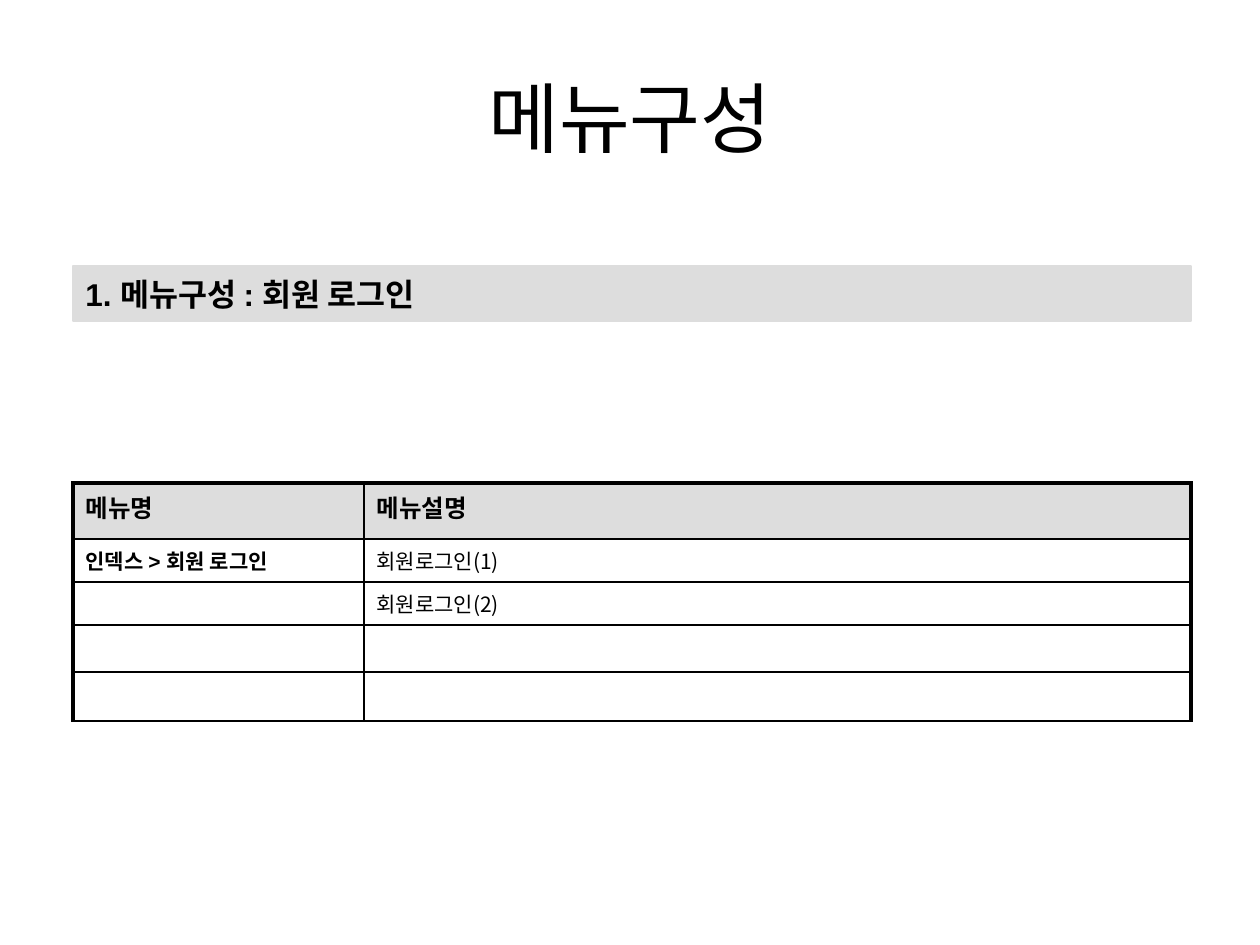
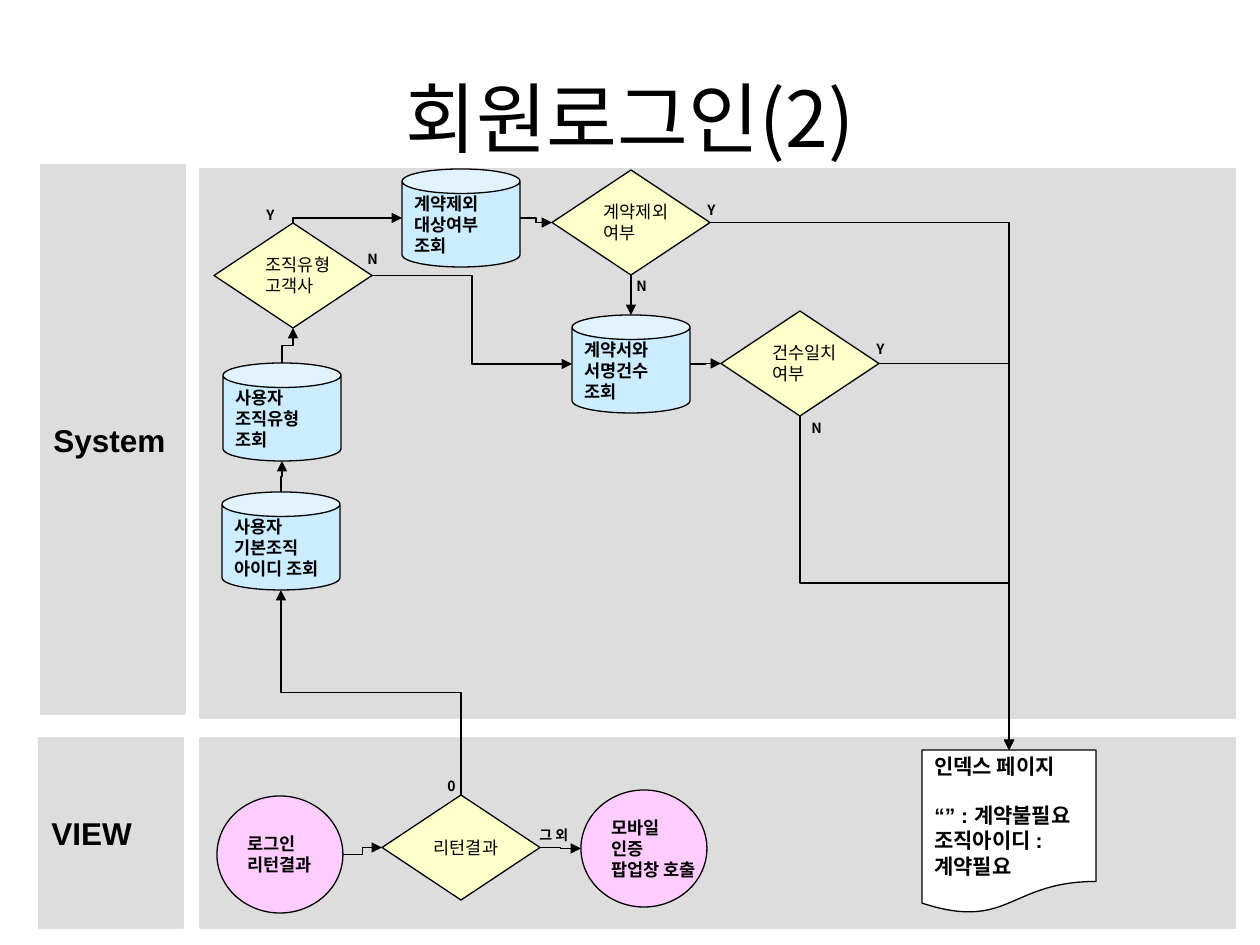
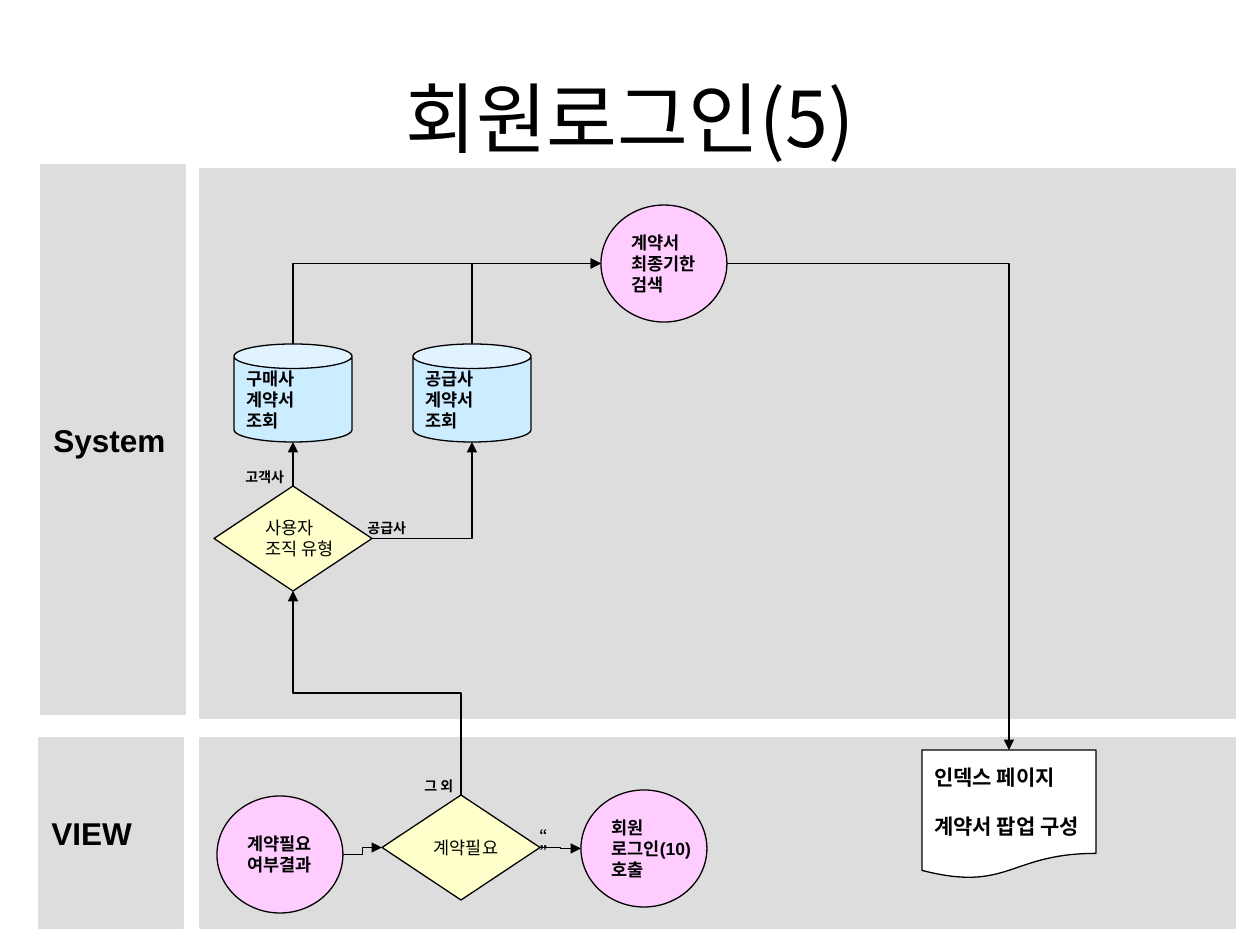
from collections import namedtuple
from lxml.etree import SubElement
from pptx import Presentation
from pptx.dml.color import RGBColor
from pptx.enum.shapes import MSO_CONNECTOR as LINK, MSO_SHAPE as FORM
from pptx.enum.text import MSO_ANCHOR as ANCHOR, MSO_AUTO_SIZE as AUTO, PP_ALIGN as ALIGN
from pptx.oxml.ns import qn
from pptx.util import Pt

Box = namedtuple("Box", "x y w h")
Kind = namedtuple("Kind", "form w h fill style")

# Shared look
PX = 914400 / 126
INK, GREY, WHITE = "000000", "DDDDDD", "FFFFFF"
NOTO = "Noto Sans CJK KR"
TITLE = {"name": NOTO, "size": Pt(44), "bold": False}
HEAD = {"name": "Arial", "size": Pt(18), "bold": True}
NODE = {"name": "Arial", "size": Pt(10), "bold": True}
ASK = {"name": NOTO, "size": Pt(10), "bold": False}
PAGE = {"name": "Arial", "size": Pt(12), "bold": True}
TAG = {"name": NOTO, "size": Pt(8), "bold": True}
TOP = {"name": "Arial", "size": Pt(14), "bold": True}
CELL = {"name": NOTO, "size": Pt(12), "bold": False}

KINDS = {
    "can": Kind(FORM.CAN, 118, 98, "CCECFF", NODE),
    "ask": Kind(FORM.DIAMOND, 158, 105, "FFFFCC", ASK),
    "oval": Kind(FORM.OVAL, 126, 117, "FFCCFF", NODE),
    "page": Kind(FORM.FLOWCHART_DOCUMENT, 174, 164, WHITE, PAGE),
    "note": Kind(FORM.FLOWCHART_DOCUMENT, 174, 129, WHITE, PAGE),
}

# Lanes: label box and body box
LANES = {
    "System": (Box(41, 165, 144, 549), Box(200, 169, 1035, 549)),
    "VIEW": (Box(39, 738, 144, 190), Box(200, 738, 1035, 190)),
}


def emu(px):
    return round(px * PX)


def place(box):
    return [emu(v) for v in box]


def color(code):
    return RGBColor.from_string(code)


def write(frame, text, style, align=ALIGN.LEFT, gap=0):
    """Put one paragraph per line; gap opens space after the first line."""
    for i, line in enumerate(text.split("\n")):
        para = frame.add_paragraph() if i else frame.paragraphs[0]
        para.alignment = align
        if gap and i == 1:
            para.space_before = Pt(gap)
        if not line:
            SubElement(para._p, qn("a:endParaRPr"), sz=str(int(style["size"].pt * 100)))
            continue
        run = para.add_run()
        run.text = line
        run.font.color.rgb = color(INK)
        for key, value in style.items():
            setattr(run.font, key, value)
        SubElement(run._r.rPr, qn("a:ea"), typeface=NOTO)


def shape(slide, form, box, fill, line, text="", style=HEAD, gap=0):
    item = slide.shapes.add_shape(form, *place(box))
    item.shadow.inherit = False
    item.fill.solid()
    item.fill.fore_color.rgb = color(fill)
    item.line.color.rgb = color(line)
    item.line.width = Pt(0.75)
    if text:
        item.text_frame.word_wrap = False
        item.text_frame.vertical_anchor = ANCHOR.MIDDLE
        write(item.text_frame, text, style, gap=gap)


def band(slide, box, text=""):
    shape(slide, FORM.RECTANGLE, box, GREY, GREY, text)


def title(slide, text):
    frame = slide.shapes.add_textbox(*place(Box(63, 38, 1134, 158))).text_frame
    frame.word_wrap = True
    frame.vertical_anchor = ANCHOR.MIDDLE
    write(frame, text, TITLE, ALIGN.CENTER)


def tag(slide, lane, x, y, w, text):
    box = Box(lane.x + x, lane.y + y, w, 30)
    frame = slide.shapes.add_textbox(*place(box)).text_frame
    frame.word_wrap = False
    frame.auto_size = AUTO.SHAPE_TO_FIT_TEXT
    write(frame, text, TAG)


def node(slide, lane, kind, x, y, text):
    """Draw a flow node inside its lane and return its box."""
    look = KINDS[kind]
    box = Box(lane.x + x, lane.y + y, look.w, look.h)
    gap = 14 if look.style is PAGE else 0
    shape(slide, look.form, box, look.fill, INK, text, look.style, gap)
    return box


def port(box, side):
    x = {"l": box.x, "r": box.x + box.w}.get(side, box.x + box.w / 2)
    y = {"t": box.y, "b": box.y + box.h}.get(side, box.y + box.h / 2)
    return x, y


def link(slide, start, out, end, into):
    """Arrow between two sides; the sides decide how it bends."""
    (x1, y1), (x2, y2) = port(start, out), port(end, into)
    if x1 == x2 or y1 == y2:
        line = slide.shapes.add_connector(LINK.STRAIGHT, *place((x1, y1, x2, y2)))
    else:
        dx, dy = x2 - x1, y2 - y1
        w, h, turn = abs(dx), abs(dy), 0
        flip = dx < 0, dy < 0
        if out in "tb":
            w, h, turn = h, w, 270
            flip = dy > 0, dx < 0
            if not any(flip):
                turn, flip = 90, (True, True)
        x, y = (x1 + x2 - w) / 2, (y1 + y2 - h) / 2
        line = slide.shapes.add_connector(LINK.ELBOW, *place((x, y, x + w, y + h)))
        frame = line._element.spPr.find(qn("a:xfrm"))
        frame.set("rot", str(turn * 60000))
        for name, on in zip(("flipH", "flipV"), flip):
            frame.set(name, str(int(on)))
        if (out in "tb") != (into in "tb"):
            line._element.spPr.find(qn("a:prstGeom")).set("prst", "bentConnector2")
    line.line.color.rgb = color(INK)
    line.line.width = Pt(0.75)
    SubElement(line.line._get_or_add_ln(), qn("a:tailEnd"), type="triangle")
    SubElement(line._element.spPr, qn("a:effectLst"))


def edge(cell, side, width):
    line = SubElement(cell._tc.get_or_add_tcPr(), qn("a:ln" + side), w=str(Pt(width)))
    SubElement(SubElement(line, qn("a:solidFill")), qn("a:srgbClr"), val=INK)


def grid(slide, box, cols, rows, data):
    table = slide.shapes.add_table(len(rows), len(cols), *place(box)).table
    table.first_row = table.horz_banding = False
    for col, w in zip(table.columns, cols):
        col.width = emu(w)
    for r, (row, h) in enumerate(zip(table.rows, rows)):
        row.height = emu(h)
        for c, cell in enumerate(row.cells):
            style = TOP if r == 0 else CELL if c else PAGE
            write(cell.text_frame, data[r][c], style)
            edge(cell, "L", 1 if c else 2.25)
            edge(cell, "R", 2.25 if c else 1)
            edge(cell, "T", 1 if r else 2.25)
            edge(cell, "B", 1)
            if r:
                cell.fill.background()
            else:
                cell.fill.solid()
                cell.fill.fore_color.rgb = color(GREY)


def menu(slide):
    title(slide, "메뉴구성")
    band(slide, Box(73, 266, 1118, 55), "1. 메뉴구성 : 회원 로그인")
    grid(slide, Box(73, 483, 1118, 238), (291, 827), (56, 43, 43, 47, 49), [
        ("메뉴명", "메뉴설명"),
        ("인덱스 > 회원 로그인", "회원로그인(1)"),
        ("", "회원로그인(2)"),
        ("", ""),
        ("", ""),
    ])


def flow(slide, name, nodes, links, tags):
    """Swimlane slide; nodes and tags are placed relative to their lane."""
    title(slide, name)
    for label, (side, body) in LANES.items():
        band(slide, body)
        band(slide, side, label)
    boxes = {key: node(slide, LANES[lane][1], *rest)
             for key, (lane, *rest) in nodes.items()}
    for start, out, end, into in links:
        link(slide, boxes[start], out, boxes[end], into)
    for lane, *rest in tags:
        tag(slide, LANES[lane][1], *rest)


# Login flow 2
LOGIN = {
    "login": ("VIEW", "oval", 17, 58, "로그인\n리턴결과"),
    "result": ("VIEW", "ask", 182, 57, "리턴결과"),
    "mobile": ("VIEW", "oval", 381, 52, "모바일\n인증\n팝업창 호출"),
    "index": ("VIEW", "page", 722, 12, "인덱스 페이지\n“” : 계약불필요\n조직아이디 :\n계약필요"),
    "base": ("System", "can", 22, 323, "사용자\n기본조직\n아이디 조회"),
    "type": ("System", "can", 23, 194, "사용자\n조직유형\n조회"),
    "org": ("System", "ask", 14, 54, "조직유형\n고객사"),
    "target": ("System", "can", 202, 0, "계약제외\n대상여부\n조회"),
    "except": ("System", "ask", 352, 1, "계약제외\n여부"),
    "sign": ("System", "can", 372, 146, "계약서와\n서명건수\n조회"),
    "count": ("System", "ask", 521, 142, "건수일치\n여부"),
}
LOGIN_LINKS = [
    ("login", "r", "result", "l"), ("result", "t", "base", "b"),
    ("result", "r", "mobile", "l"), ("base", "t", "type", "b"),
    ("type", "t", "org", "b"), ("org", "t", "target", "l"),
    ("org", "r", "sign", "l"), ("target", "r", "except", "l"),
    ("except", "b", "sign", "t"), ("sign", "r", "count", "l"),
    ("except", "r", "index", "t"), ("count", "r", "index", "t"),
    ("count", "b", "index", "t"),
]
LOGIN_TAGS = [
    ("System", 54, 31, 34, "Y"), ("System", 155, 75, 37, "N"),
    ("System", 495, 26, 34, "Y"), ("System", 424, 102, 37, "N"),
    ("System", 664, 165, 34, "Y"), ("System", 599, 244, 37, "N"),
    ("VIEW", 235, 33, 34, "0"), ("VIEW", 327, 82, 59, "그 외"),
]

# Login flow 5
DEAL = {
    "need": ("VIEW", "oval", 17, 58, "계약필요\n여부결과"),
    "check": ("VIEW", "ask", 182, 57, "계약필요"),
    "call": ("VIEW", "oval", 381, 52, "회원\n로그인(10)\n호출"),
    "index": ("VIEW", "note", 722, 12, "인덱스 페이지\n계약서 팝업 구성"),
    "user": ("System", "ask", 14, 317, "사용자\n조직 유형"),
    "buyer": ("System", "can", 34, 175, "구매사\n계약서\n조회"),
    "seller": ("System", "can", 213, 175, "공급사\n계약서\n조회"),
    "search": ("System", "oval", 401, 36, "계약서\n최종기한\n검색"),
}
DEAL_LINKS = [
    ("need", "r", "check", "l"), ("check", "t", "user", "b"),
    ("check", "r", "call", "l"), ("user", "t", "buyer", "b"),
    ("user", "r", "seller", "b"), ("buyer", "t", "search", "l"),
    ("seller", "t", "search", "l"), ("search", "r", "index", "t"),
]
DEAL_TAGS = [
    ("System", 33, 293, 68, "고객사"), ("System", 155, 344, 68, "공급사"),
    ("VIEW", 212, 33, 59, "그 외"), ("VIEW", 327, 82, 39, "“”"),
]


def main():
    deck = Presentation()
    deck.slide_width, deck.slide_height = emu(1260), emu(945)
    blank = deck.slide_layouts[6]
    menu(deck.slides.add_slide(blank))
    flow(deck.slides.add_slide(blank), "회원로그인(2)", LOGIN, LOGIN_LINKS, LOGIN_TAGS)
    flow(deck.slides.add_slide(blank), "회원로그인(5)", DEAL, DEAL_LINKS, DEAL_TAGS)
    deck.save("out.pptx")


if __name__ == "__main__":
    main()
